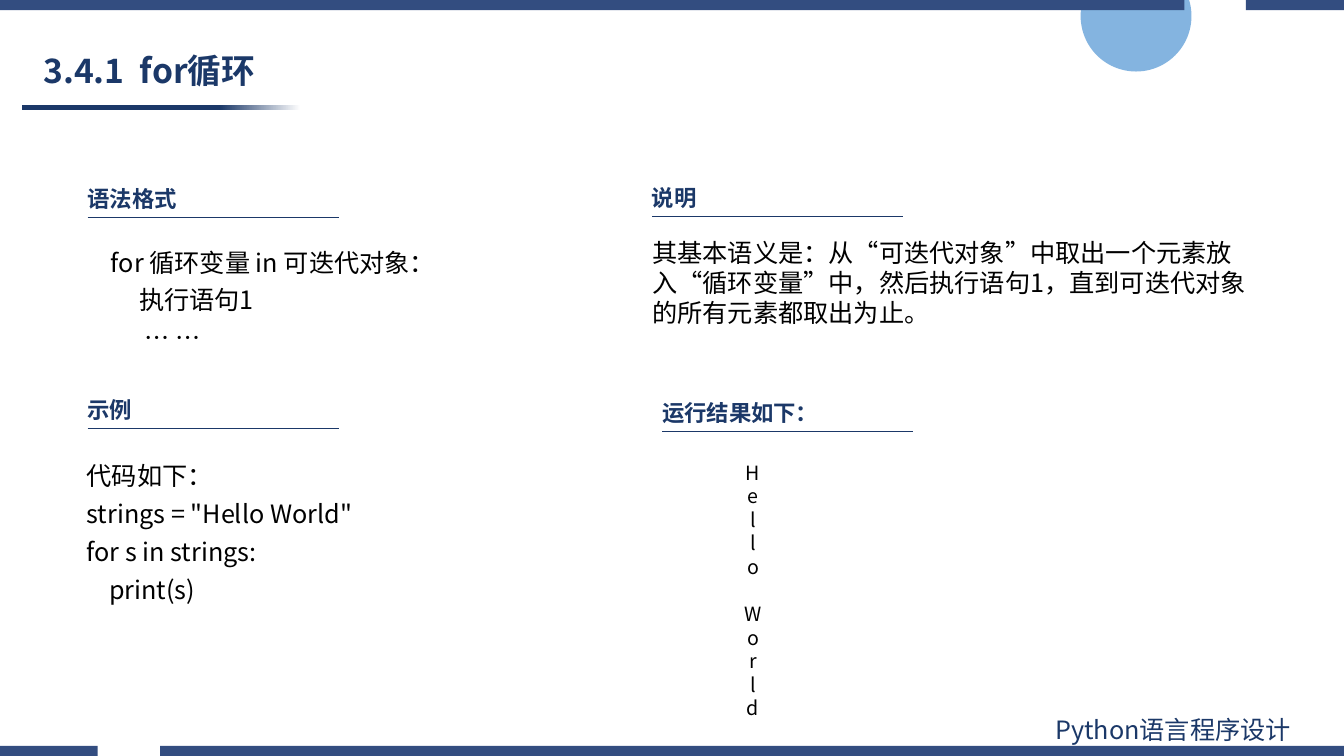
import lxml.etree
import pptx
import pptx.dml.color
import pptx.enum.shapes
import pptx.enum.text
import pptx.oxml.ns
import pptx.util

NAVY = pptx.dml.color.RGBColor(0x1B, 0x38, 0x68)
SLATE = pptx.dml.color.RGBColor(0x33, 0x4D, 0x80)
SKY = pptx.dml.color.RGBColor(0x84, 0xB4, 0xE0)
WHITE = pptx.dml.color.RGBColor(0xFF, 0xFF, 0xFF)
BLACK = pptx.dml.color.RGBColor(0, 0, 0)
FONT = "Noto Sans CJK SC"
COLUMNS, ROWS = 133.33, 75


class LessonSlide:
    """Draws lesson elements on a grid of columns and rows in one style."""

    def __init__(self, deck):
        self.slide = deck.slides.add_slide(deck.slide_layouts[4])
        self.shapes = self.slide.shapes
        self.column = deck.slide_width / COLUMNS
        self.row = deck.slide_height / ROWS

    def cells(self, left, top, width, height):
        return (round(left * self.column), round(top * self.row),
                round(width * self.column), round(height * self.row))

    def fill_text(self, holder, lines, size, color=BLACK, bold=False,
                  pitch=1.0, gap=0, align=pptx.enum.text.PP_ALIGN.LEFT,
                  anchor=pptx.enum.text.MSO_ANCHOR.TOP):
        frame = holder.text_frame
        frame.word_wrap = True
        frame.auto_size = pptx.enum.text.MSO_AUTO_SIZE.NONE
        frame.vertical_anchor = anchor
        frame.text = "\n".join(lines)
        for number, paragraph in enumerate(frame.paragraphs):
            properties = paragraph._p.get_or_add_pPr()
            properties.set("marL", "0")
            properties.set("indent", "0")
            lxml.etree.SubElement(properties, pptx.oxml.ns.qn("a:buNone"))
            paragraph.alignment = align
            paragraph.line_spacing = pitch
            paragraph.space_before = pptx.util.Pt(gap if number else 0)
            paragraph.space_after = pptx.util.Pt(gap)
            font = paragraph.font
            font.size, font.bold = pptx.util.Pt(size), bold
            font.color.rgb = color
            font.name = FONT
            east_asian = lxml.etree.SubElement(
                font._element, pptx.oxml.ns.qn("a:ea"))
            east_asian.set("typeface", FONT)
        return frame

    def placeholder(self, index, area, lines, size, **style):
        holder = self.slide.placeholders[index]
        holder.left, holder.top, holder.width, holder.height = self.cells(*area)
        return self.fill_text(holder, lines, size, **style)

    def label(self, area, text, size, **style):
        self.fill_text(self.shapes.add_textbox(*self.cells(*area)), [text],
                       size, color=NAVY, **style)

    def heading(self, left, top, text):
        self.label((left, top, 34, 3.7), text, 16, bold=True)
        x, y, width, _ = self.cells(left + 1, top + 3.65, 24.9, 0)
        underline = self.shapes.add_connector(
            pptx.enum.shapes.MSO_CONNECTOR.STRAIGHT, x, y, x + width, y)
        underline.line.color.rgb = NAVY
        underline.line.width = pptx.util.Pt(0.5)
        lxml.etree.SubElement(underline._element.spPr,
                              pptx.oxml.ns.qn("a:effectLst"))

    def plain(self, shape):
        shape.shadow.inherit = False
        shape.line.fill.background()
        return shape.fill

    def circle(self, area):
        fill = self.plain(self.shapes.add_shape(
            pptx.enum.shapes.MSO_SHAPE.OVAL, *self.cells(*area)))
        fill.solid()
        fill.fore_color.rgb = SKY

    def fading_rule(self, area):
        fill = self.plain(self.shapes.add_shape(
            pptx.enum.shapes.MSO_SHAPE.RECTANGLE, *self.cells(*area)))
        fill.gradient()
        fill.gradient_angle = 0
        for stop, position, color in zip(fill.gradient_stops, (0.71, 1),
                                         (NAVY, WHITE)):
            stop.position = position
            stop.color.rgb = color

    def split_band(self, top, gap_start, gap_end):
        bottom = top + 1
        builder = self.shapes.build_freeform(0, self.cells(0, top, 0, 0)[1],
                                             scale=1.0)
        for start, end in ((0, gap_start), (gap_end, COLUMNS)):
            corners = [self.cells(x, y, 0, 0)[:2] for x, y in (
                (start, top), (end, top), (end, bottom), (start, bottom))]
            builder.move_to(*corners[0])
            builder.add_line_segments(corners[1:], close=True)
        fill = self.plain(builder.convert_to_shape())
        fill.solid()
        fill.fore_color.rgb = SLATE


def main():
    deck = pptx.Presentation()
    deck.slide_width = pptx.util.Inches(13.33)
    deck.slide_height = pptx.util.Inches(7.5)
    lesson = LessonSlide(deck)

    lesson.circle((107.2, -3.9, 11, 11))
    lesson.split_band(0, 117.5, 123.6)
    lesson.split_band(74, 9.7, 15.9)
    lesson.fading_rule((2.2, 10.45, 27.6, 0.5))
    lesson.label((103.7, 70.4, 29.4, 4), "Python语言程序设计", 18)

    lesson.placeholder(0, (3.3, 4.4, 35.7, 5.6), ["3.4.1  for循环"], 24,
                       color=NAVY, bold=True, pitch=0.9,
                       anchor=pptx.enum.text.MSO_ANCHOR.MIDDLE)
    for left, top, text in ((7.7, 17.9, "语法格式"), (7.7, 38.8, "示例"),
                            (63.7, 17.8, "说明"), (64.7, 39.1, "运行结果如下：")):
        lesson.heading(left, top, text)

    code_style = {"pitch": pptx.util.Pt(15), "gap": 6}
    lesson.placeholder(1, (10, 24.9, 48.3, 10.7), [
        "for 循环变量 in 可迭代对象：", "     执行语句1", "      … …"],
        18, **code_style)
    lesson.placeholder(2, (7.6, 46.1, 37.8, 14.5), [
        "代码如下：", 'strings = "Hello World"', "for s in strings:",
        "    print(s)"], 18, **code_style)
    lesson.placeholder(3, (63.7, 23, 62.2, 10.1), [
        "其基本语义是：从“可迭代对象”中取出一个元素放入“循环变量”中，"
        "然后执行语句1，直到可迭代对象的所有元素都取出为止。"], 18)
    output = lesson.placeholder(
        4, (62.5, 45.2, 24.4, 27), list("HelloWorld"), 14,
        align=pptx.enum.text.PP_ALIGN.CENTER)
    output.paragraphs[len("Hello")].space_before = pptx.util.Pt(16.8)

    deck.save("out.pptx")


if __name__ == "__main__":
    main()
